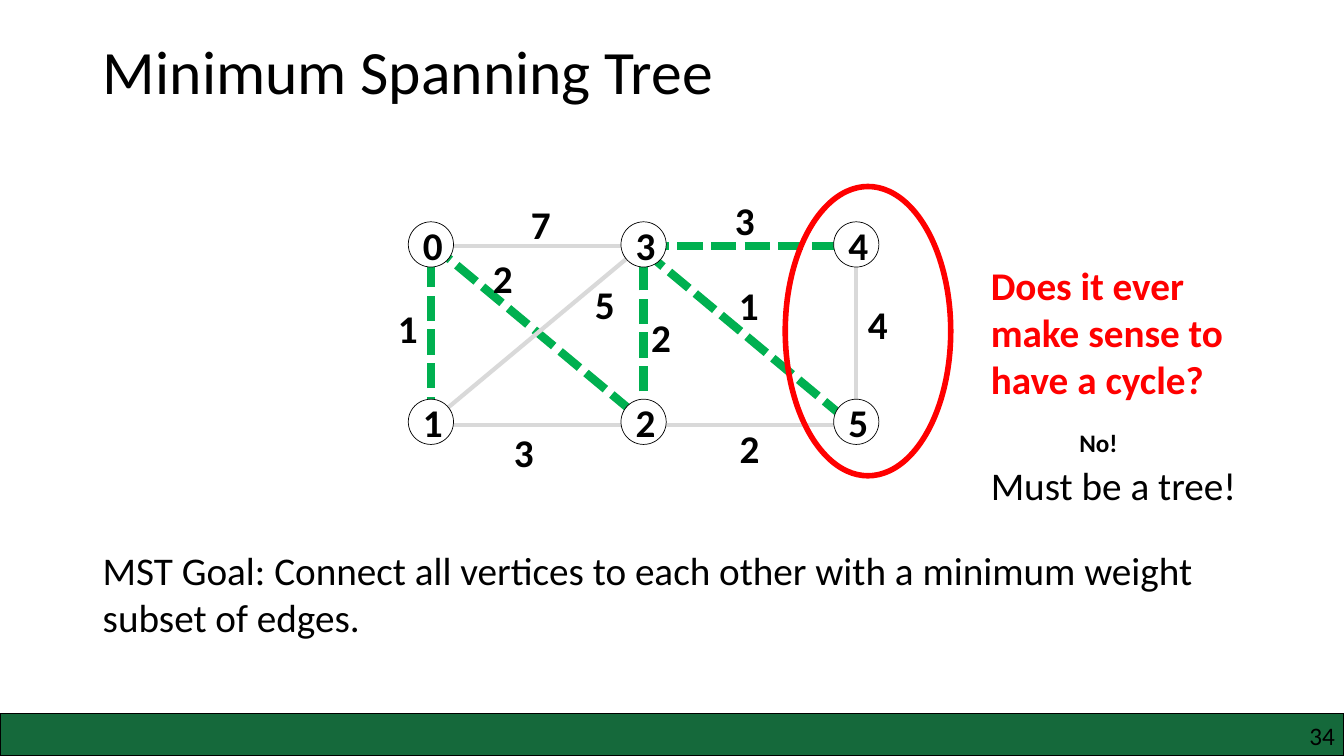
from lxml.etree import SubElement
from pptx import Presentation
from pptx.dml.color import RGBColor
from pptx.enum.dml import MSO_LINE
from pptx.enum.shapes import MSO_CONNECTOR, MSO_SHAPE
from pptx.enum.text import MSO_ANCHOR, MSO_AUTO_SIZE, PP_ALIGN
from pptx.oxml.ns import qn
from pptx.util import Cm, Pt

DASH = MSO_LINE.SQUARE_DOT
STRAIGHT = MSO_CONNECTOR.STRAIGHT
OVAL, RECTANGLE = MSO_SHAPE.OVAL, MSO_SHAPE.RECTANGLE
MIDDLE, TOP = MSO_ANCHOR.MIDDLE, MSO_ANCHOR.TOP
NO_FIT = MSO_AUTO_SIZE.NONE
LEFT, CENTER, RIGHT = PP_ALIGN.LEFT, PP_ALIGN.CENTER, PP_ALIGN.RIGHT

FONT = "Calibri"
BLACK, WHITE, RED = "000000", "FFFFFF", "FF0000"
TREE_GREEN, EDGE_GRAY, FOOTER_GREEN = "00B050", "D9D9D9", "15693B"

NODE_SIZE = 1.14
VERTICES = {"0": (0, 0), "1": (0, 1), "2": (1, 1), "3": (1, 0), "4": (2, 0), "5": (2, 1)}
# start, end, weight, in tree, vertical shift, weight position within the graph
EDGES = [
    ("1", "0", "1", True, 0, (-0.51, 1.96)),
    ("5", "4", "4", False, 0, (11.33, 1.85)),
    ("2", "3", "2", True, 0.08, (5.87, 2.18)),
    ("0", "3", "7", False, 0.04, (2.84, -0.66)),
    ("1", "2", "3", False, 0.08, (2.41, 5.08)),
    ("3", "4", "3", True, 0.04, (7.98, -0.76)),
    ("2", "5", "2", False, 0.08, (8.1, 4.98)),
    ("0", "2", "2", True, -0.02, (1.88, 0.69)),
    ("3", "5", "1", True, 0.15, (8.08, 1.37)),
    ("3", "1", "5", False, 0, (4.45, 1.35)),
]


def color(hex_value):
    """Turn a hex string into a colour."""
    return RGBColor.from_string(hex_value)


def write(frame, wording, size, hex_value=BLACK, bold=False, align=LEFT, anchor=TOP):
    """Write one formatted run into a text frame."""
    frame.auto_size = NO_FIT
    frame.vertical_anchor = anchor
    paragraph = frame.paragraphs[0]
    paragraph.alignment = align
    run = paragraph.add_run()
    run.text = wording
    run.font.name, run.font.size, run.font.bold = FONT, Pt(size), bold
    run.font.color.rgb = color(hex_value)
    return paragraph


def add_label(slide, box, wording, size=28, inset=None, wrap=True, **style):
    """Place a text box in the given box."""
    frame = slide.shapes.add_textbox(*map(Cm, box)).text_frame
    frame.word_wrap = wrap
    if inset is not None:
        frame.margin_left = frame.margin_right = Cm(inset)
        frame.margin_top = frame.margin_bottom = Cm(inset)
    write(frame, wording, size, **style)


def add_outline(slide, kind, box, fill, line, width):
    """Place an outlined shape, filled when a fill is given."""
    outline = slide.shapes.add_shape(kind, *map(Cm, box))
    outline.shadow.inherit = False
    if fill:
        outline.fill.solid()
        outline.fill.fore_color.rgb = color(fill)
    else:
        outline.fill.background()
    outline.line.color.rgb = color(line)
    outline.line.width = Pt(width)
    return outline


def add_edge(slide, start, end, in_tree):
    """Draw one edge, dashed green when it belongs to the tree."""
    edge = slide.shapes.add_connector(STRAIGHT, *map(Cm, start + end))
    edge.line.color.rgb = color(TREE_GREEN if in_tree else EDGE_GRAY)
    edge.line.width = Pt(6 if in_tree else 3)
    if in_tree:
        edge.line.dash_style = DASH
    SubElement(edge._element.spPr, qn("a:effectLst"))


def add_title(slide, box):
    """Fill the title placeholder."""
    title = slide.shapes.title
    title.left, title.top, title.width, title.height = map(Cm, box)
    paragraph = write(title.text_frame, "Minimum Spanning Tree", 44, anchor=MIDDLE)
    paragraph.line_spacing = 0.9


def add_graph(slide, box):
    """Draw the weighted graph with its vertices spread over the box."""
    left, top, width, height = box
    column_pitch, row_pitch = (width - NODE_SIZE) / 2, height - NODE_SIZE
    centers = {
        vertex: (left + NODE_SIZE / 2 + column * column_pitch,
                 top + NODE_SIZE / 2 + row * row_pitch)
        for vertex, (column, row) in VERTICES.items()
    }
    for start, end, _, in_tree, shift, _ in EDGES:
        (x1, y1), (x2, y2) = centers[start], centers[end]
        add_edge(slide, (x1, y1 + shift), (x2, y2 + shift), in_tree)
    for vertex, (x, y) in centers.items():
        node_box = (x - NODE_SIZE / 2, y - NODE_SIZE / 2, NODE_SIZE, NODE_SIZE)
        node = add_outline(slide, OVAL, node_box, WHITE, BLACK, 0.5)
        frame = node.text_frame
        frame.margin_left = Cm(0.1)
        frame.margin_right = frame.margin_top = frame.margin_bottom = 0
        frame.word_wrap = False
        write(frame, vertex, 28, bold=True, align=CENTER, anchor=MIDDLE)
    for _, _, weight, _, _, (x, y) in EDGES:
        add_label(slide, (left + x, top + y, 1.55, 1.45), weight, bold=True)


def add_cycle_question(slide, box):
    """Circle the last column and ask about cycles beside it."""
    left, top, width, height = box
    add_outline(slide, OVAL, (left, top, 4.17, height), None, RED, 4)
    text_left = left + 4.93
    add_label(slide, (text_left, top + 1.75, 6.43, 3.84),
              "Does it ever make sense to have a cycle?", hex_value=RED, bold=True)
    add_label(slide, (text_left + 2.23, top + 5.94, 1.47, 1.02), "No!", 18,
              wrap=False, bold=True)
    add_label(slide, (text_left, top + 6.81, width - 4.93, 1.45), "Must be a tree!")


def add_footer(slide, box):
    """Draw the footer bar with the page number at its right end."""
    left, top, width, height = box
    add_outline(slide, RECTANGLE, box, FOOTER_GREEN, BLACK, 1)
    add_label(slide, (left + width - 8.03, top + 0.18, 7.8, 0.76), "34", 18,
              inset=0, align=RIGHT)


def main():
    """Build and save the slide."""
    deck = Presentation()
    deck.slide_width, deck.slide_height = Cm(33.87), Cm(19.05)
    slide = deck.slides.add_slide(deck.slide_layouts[5])
    add_title(slide, (2.34, 0.05, 29.21, 3.68))
    add_graph(slide, (10.29, 5.59, 11.86, 5.61))
    add_label(slide, (2.34, 13.64, 29.62, 2.64),
              "MST Goal: Connect all vertices to each other with a minimum weight "
              "subset of edges.")
    add_cycle_question(slide, (19.79, 4.7, 12.37, 7.29))
    add_footer(slide, (0, 17.98, 33.87, 1.07))
    deck.save("out.pptx")


if __name__ == "__main__":
    main()
